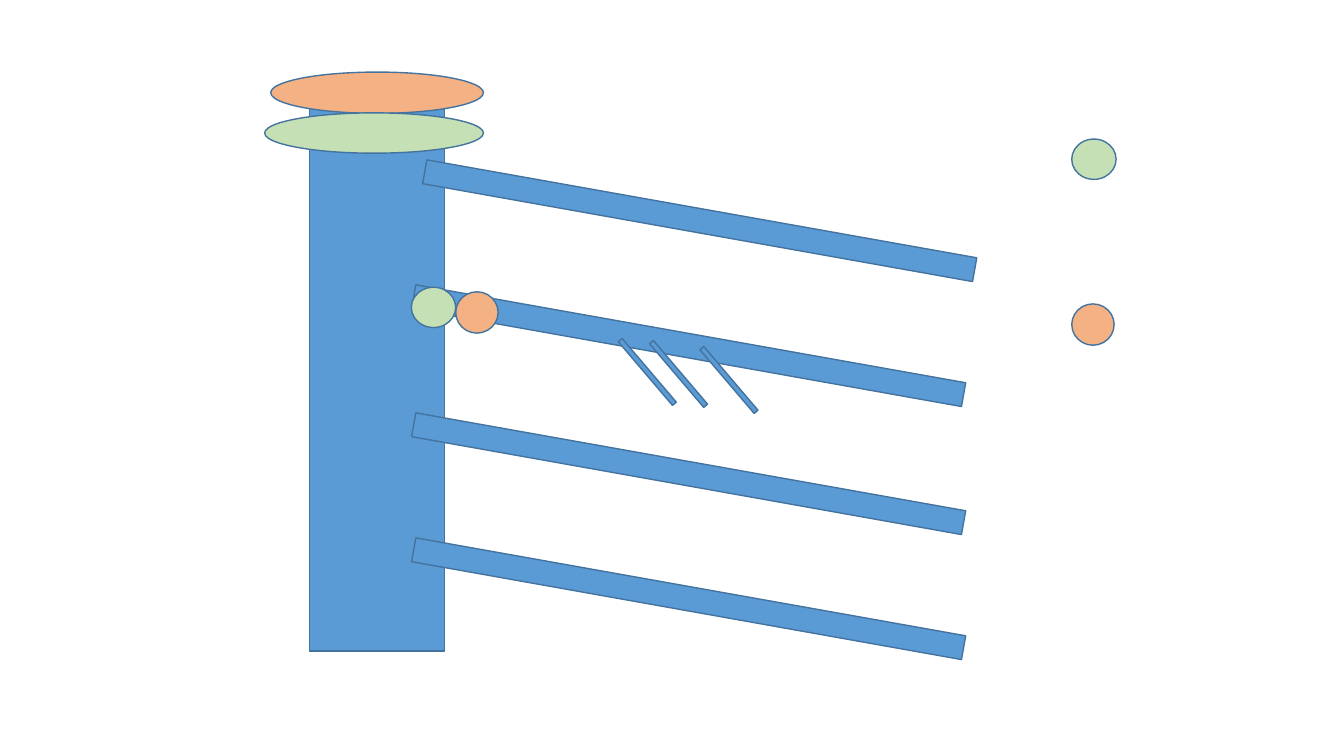
from pptx import Presentation
from pptx.dml.color import RGBColor
from pptx.enum.shapes import MSO_SHAPE as Preset
from pptx.util import Inches, Pt

THEME = {
    "blue": RGBColor.from_string("5B9BD5"),
    "green": RGBColor.from_string("C5E0B4"),
    "orange": RGBColor.from_string("F4B183"),
    "outline": RGBColor.from_string("43739E"),
    "line_width": Pt(1),
}

KINDS = {
    "trunk": (Preset.RECTANGLE, "blue", 1.34, 5.54, 0),
    "branch": (Preset.RECTANGLE, "blue", 5.54, 0.24, 10.1),
    "twig": (Preset.RECTANGLE, "blue", 0.05, 0.83, 319.6),
    "green dot": (Preset.OVAL, "green", 0.44, 0.4, 0),
    "orange dot": (Preset.OVAL, "orange", 0.42, 0.41, 0),
    "green ring": (Preset.OVAL, "green", 2.17, 0.4, 0),
    "orange ring": (Preset.OVAL, "orange", 2.11, 0.41, 0),
}

CENTRES = [
    ("trunk", [(3.74, 3.69)]),
    ("green dot", [(10.85, 1.58)]),
    ("orange dot", [(10.84, 3.22)]),
    ("branch", [(6.94, 2.19), (6.83, 3.43), (6.83, 4.7), (6.83, 5.94)]),
    ("orange ring", [(3.74, 0.92)]),
    ("green dot", [(4.3, 3.05)]),
    ("green ring", [(3.71, 1.32)]),
    ("orange dot", [(4.73, 3.1)]),
    ("twig", [(6.42, 3.69), (6.73, 3.71), (7.23, 3.77)]),
]


def add_part(page, kind, centre_x, centre_y):
    preset, colour, width, height, angle = KINDS[kind]
    part = page.shapes.add_shape(
        preset,
        Inches(centre_x - width / 2),
        Inches(centre_y - height / 2),
        Inches(width),
        Inches(height),
    )
    part.rotation = angle
    part.shadow.inherit = False
    part.fill.solid()
    part.fill.fore_color.rgb = THEME[colour]
    part.line.color.rgb = THEME["outline"]
    part.line.width = THEME["line_width"]


deck = Presentation()
deck.slide_width, deck.slide_height = Inches(13.33), Inches(7.5)
page = deck.slides.add_slide(deck.slide_layouts[6])

for kind, centres in CENTRES:
    for centre in centres:
        add_part(page, kind, *centre)

deck.save("out.pptx")
